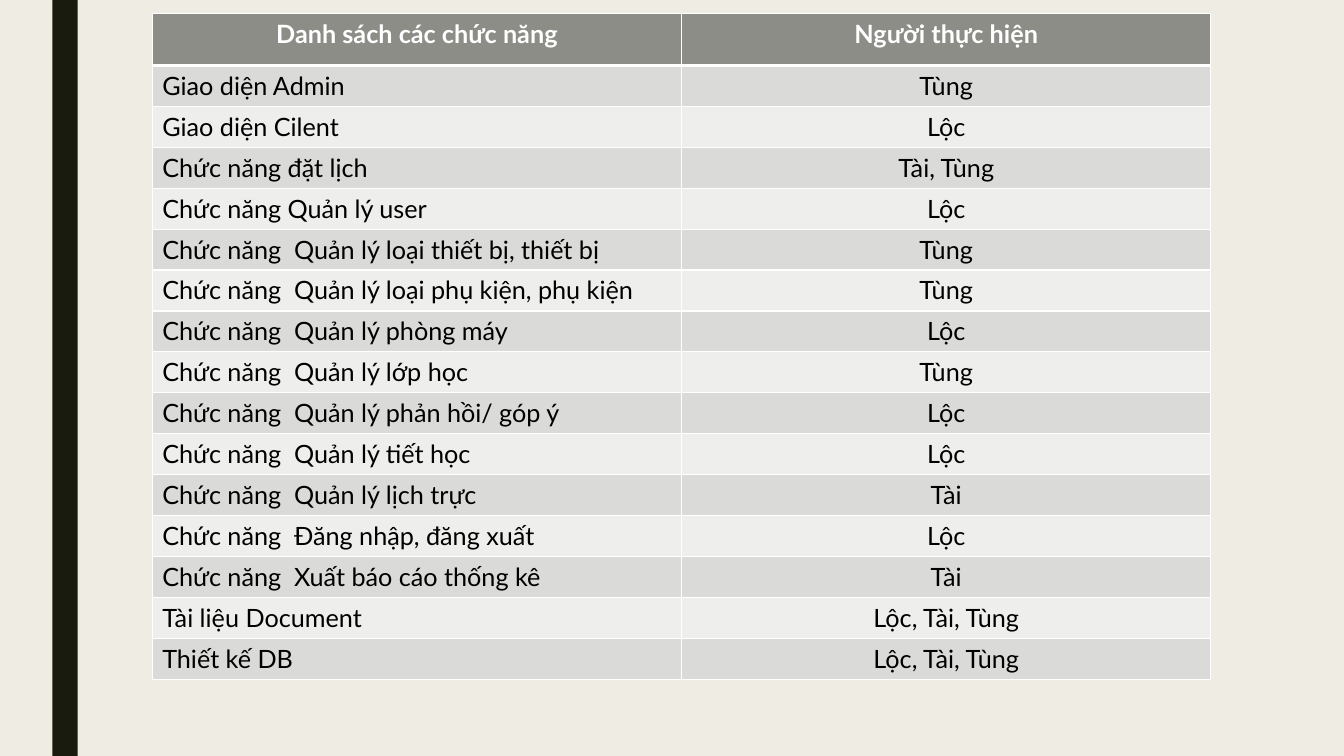
from lxml import etree
from pptx import Presentation
from pptx.dml.color import RGBColor
from pptx.enum.shapes import MSO_SHAPE
from pptx.enum.text import PP_ALIGN
from pptx.oxml.ns import qn
from pptx.util import Inches, Pt

RECTANGLE = MSO_SHAPE.RECTANGLE
LEFT, CENTER = PP_ALIGN.LEFT, PP_ALIGN.CENTER

HEADINGS = ("Danh sách các chức năng", "Người thực hiện")
TASKS = [
    ("Giao diện Admin", "Tùng"),
    ("Giao diện Cilent", "Lộc"),
    ("Chức năng đặt lịch", "Tài, Tùng"),
    ("Chức năng Quản lý user", "Lộc"),
    ("Chức năng  Quản lý loại thiết bị, thiết bị", "Tùng"),
    ("Chức năng  Quản lý loại phụ kiện, phụ kiện", "Tùng"),
    ("Chức năng  Quản lý phòng máy", "Lộc"),
    ("Chức năng  Quản lý lớp học", "Tùng"),
    ("Chức năng  Quản lý phản hồi/ góp ý", "Lộc"),
    ("Chức năng  Quản lý tiết học", "Lộc"),
    ("Chức năng  Quản lý lịch trực", "Tài"),
    ("Chức năng  Đăng nhập, đăng xuất", "Lộc"),
    ("Chức năng  Xuất báo cáo thống kê", "Tài"),
    ("Tài liệu Document", "Lộc, Tài, Tùng"),
    ("Thiết kế DB", "Lộc, Tài, Tùng"),
]
BACKGROUND, STRIPE, HEADING_FILL = "EFEDE3", "191B0E", "8C8D86"
BANDS = ("EEEEED", "DADBD9")
WHITE, BLACK = "FFFFFF", "000000"
FONT, TEXT_SIZE = "Lato", 18
TABLE_LEFT, TABLE_TOP, TABLE_WIDTH, TABLE_HEIGHT = 1.51, 0.13, 10.5, 6.61
HEADING_HEIGHT = 0.52


def paint(fill, color):
    fill.solid()
    fill.fore_color.rgb = RGBColor.from_string(color)


def add_border(cell, side, points):
    line = etree.SubElement(cell._tc.get_or_add_tcPr(), qn(f"a:ln{side}"), w=str(Pt(points)))
    solid = etree.SubElement(line, qn("a:solidFill"))
    etree.SubElement(solid, qn("a:srgbClr"), val=WHITE)


def fill_cell(cell, text, row, column):
    heading = row == 0
    for side in "LRTB":
        thick = (heading and side == "B") or (row == 1 and side == "T")
        add_border(cell, side, 3 if thick else 1)
    paint(cell.fill, HEADING_FILL if heading else BANDS[row % 2])
    cell.text = text
    paragraph = cell.text_frame.paragraphs[0]
    paragraph.alignment = CENTER if heading or column == 1 else LEFT
    paragraph.font.name = FONT
    paragraph.font.size = Pt(TEXT_SIZE)
    paragraph.font.bold = heading
    paragraph.font.color.rgb = RGBColor.from_string(WHITE if heading else BLACK)


def main():
    deck = Presentation()
    deck.slide_width, deck.slide_height = Inches(13.33), Inches(7.5)
    slide = deck.slides.add_slide(deck.slide_layouts[6])
    paint(slide.background.fill, BACKGROUND)

    stripe = slide.shapes.add_shape(RECTANGLE, Inches(0.52), 0, Inches(0.25), deck.slide_height)
    stripe.shadow.inherit = False
    paint(stripe.fill, STRIPE)
    stripe.line.fill.background()

    rows = [HEADINGS, *TASKS]
    assignments = slide.shapes.add_table(
        len(rows), len(HEADINGS), Inches(TABLE_LEFT), Inches(TABLE_TOP),
        Inches(TABLE_WIDTH), Inches(TABLE_HEIGHT)).table
    task_height = (TABLE_HEIGHT - HEADING_HEIGHT) / len(TASKS)
    for row, texts in enumerate(rows):
        assignments.rows[row].height = Inches(task_height if row else HEADING_HEIGHT)
        for column, text in enumerate(texts):
            fill_cell(assignments.cell(row, column), text, row, column)

    deck.save("out.pptx")


if __name__ == "__main__":
    main()
